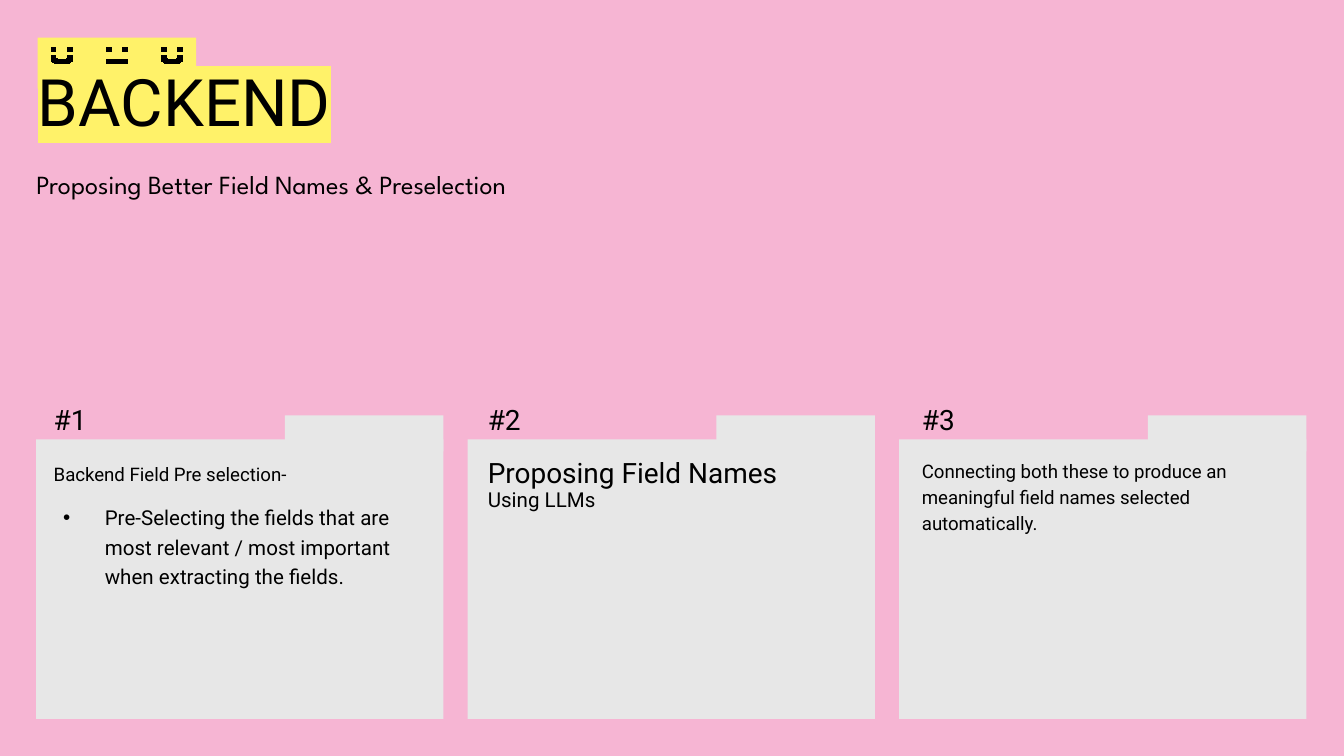
from lxml.etree import SubElement
from pptx import Presentation
from pptx.dml.color import RGBColor
from pptx.enum.shapes import MSO_SHAPE
from pptx.enum.text import MSO_ANCHOR as Anchor, MSO_AUTO_SIZE as AutoSize, PP_ALIGN as Align
from pptx.oxml.ns import qn
from pptx.util import Inches, Pt

PINK, YELLOW, GREY, BLACK = "F6B5D3", "FFF269", "E7E7E7", "000000"
EYES = [(0, 0, 0.04, 0.04), (0.12, 0, 0.04, 0.04)]
SMILE = EYES + [
    (0, 0.06, 0.04, 0.05),
    (0.01, 0.08, 0.04, 0.04),
    (0.02, 0.09, 0.12, 0.04),
    (0.11, 0.08, 0.04, 0.04),
    (0.12, 0.06, 0.04, 0.05),
]
NEUTRAL = EYES + [(0, 0.09, 0.16, 0.04)]


def color(value):
    return RGBColor.from_string(value)


class Deck:
    def __init__(self, font):
        self.font = font
        self.presentation = Presentation()
        self.presentation.slide_width = Inches(10)
        self.presentation.slide_height = Inches(10) * 9 // 16
        self.slide = self.presentation.slides.add_slide(self.presentation.slide_layouts[5])
        background = self.slide.background.fill
        background.solid()
        background.fore_color.rgb = color(PINK)

    def paint(self, shape, fill):
        shape.fill.solid()
        shape.fill.fore_color.rgb = color(fill)
        shape.line.fill.background()
        shape.shadow.inherit = False

    def block(self, shapes, left, top, width, height, fill):
        block = shapes.add_shape(
            MSO_SHAPE.RECTANGLE, Inches(left), Inches(top), Inches(width), Inches(height))
        self.paint(block, fill)

    def face(self, left, top, pixels):
        face = self.slide.shapes.add_group_shape()
        for dx, dy, width, height in pixels:
            x1, y1 = left + dx, top + dy
            x2, y2 = x1 + width, y1 + height
            outline = face.shapes.build_freeform(Inches(x1), Inches(y1))
            corners = [(x1, y2), (x2, y2), (x2, y1)]
            outline.add_line_segments([(Inches(x), Inches(y)) for x, y in corners])
            self.paint(outline.convert_to_shape(), BLACK)

    def fit(self, shape, left, top, width, height, anchor=Anchor.TOP):
        shape.left, shape.top = Inches(left), Inches(top)
        shape.width, shape.height = Inches(width), Inches(height)
        frame = shape.text_frame
        frame.margin_left = frame.margin_top = frame.margin_right = frame.margin_bottom = 0
        frame.auto_size = AutoSize.NONE
        frame.word_wrap = True
        frame.vertical_anchor = anchor
        return frame

    def style(self, paragraph, sizes, spacing, font=None):
        paragraph.alignment = Align.LEFT
        paragraph.line_spacing = spacing
        for run, size in zip(paragraph.runs, sizes):
            run.font.size = Pt(size)
            run.font.name = font or self.font
            run.font.color.rgb = color(BLACK)
        for line_break in paragraph._p.findall(qn("a:br")):
            SubElement(line_break, qn("a:rPr"), sz=str(sizes[0] * 100))

    def title(self, text, box, size, spacing, highlight):
        heading = self.slide.shapes.title
        heading._element.getparent().append(heading._element)
        frame = self.fit(heading, *box)
        frame.text = text
        self.style(frame.paragraphs[0], [size], spacing)
        properties = frame.paragraphs[0].runs[0]._r.get_or_add_rPr()
        marker = SubElement(properties, qn("a:highlight"))
        SubElement(marker, qn("a:srgbClr"), val=highlight)
        properties.find(qn("a:latin")).addprevious(marker)

    def text(self, text, box, sizes, spacing, anchor=Anchor.TOP, font=None):
        frame = self.fit(self.slide.shapes.add_textbox(0, 0, 0, 0), *box, anchor)
        frame.text = text
        self.style(frame.paragraphs[0], sizes, spacing, font)
        return frame

    def bullet(self, frame, text, size, spacing):
        paragraph = frame.add_paragraph()
        paragraph.text = text
        properties = paragraph._p.get_or_add_pPr()
        properties.set("marL", str(Inches(0.38)))
        properties.set("indent", str(Inches(-0.31)))
        SubElement(SubElement(properties, qn("a:buClr")), qn("a:srgbClr"), val=BLACK)
        SubElement(properties, qn("a:buFont"), typeface="Arial")
        SubElement(properties, qn("a:buChar"), char="•")
        paragraph.space_before = Pt(8)
        self.style(paragraph, [size], spacing)


def main():
    deck = Deck("Roboto")
    deck.block(deck.slide.shapes, 0.28, 0.28, 1.18, 0.38, YELLOW)
    for left, pixels in [(1.2, SMILE), (0.38, SMILE), (0.79, NEUTRAL)]:
        deck.face(left, 0.35, pixels)

    folders = deck.slide.shapes.add_group_shape()
    for column in range(3):
        left = 0.27 + 3.21 * column
        deck.block(folders.shapes, left, 3.27, 3.03, 2.08, GREY)
        deck.block(folders.shapes, left + 1.85, 3.09, 1.18, 0.27, GREY)

    steps = [
        ("Backend Field Pre selection-", [10], 1.15, 3.42),
        ("Proposing Field Names\vUsing LLMs", [15, 11], 0.9, 3.42),
        ("Connecting both these to produce an meaningful field names selected automatically.",
         [10], 1.15, 3.4),
    ]
    bodies = []
    for column, (step, sizes, spacing, top) in enumerate(steps):
        left = 0.4 + 3.23 * column
        bodies.append(deck.text(step, (left, top, 2.7, 1.78), sizes, spacing))
        deck.text(f"#{column + 1}", (left, 2.97, 1.67, 0.27), [15], 0.8, Anchor.BOTTOM)
    deck.bullet(
        bodies[0],
        "Pre-Selecting the fields that are most relevant / most important "
        "when extracting the fields.",
        11, 1.2)

    deck.title("BACKEND", (0.28, 0.57, 5.79, 0.92), 35, 0.8, YELLOW)
    deck.text("Proposing Better Field Names & Preselection", (0.27, 1.2, 3.95, 0.67),
              [14], 1.24, font="League Spartan")
    deck.presentation.save("out.pptx")


if __name__ == "__main__":
    main()
